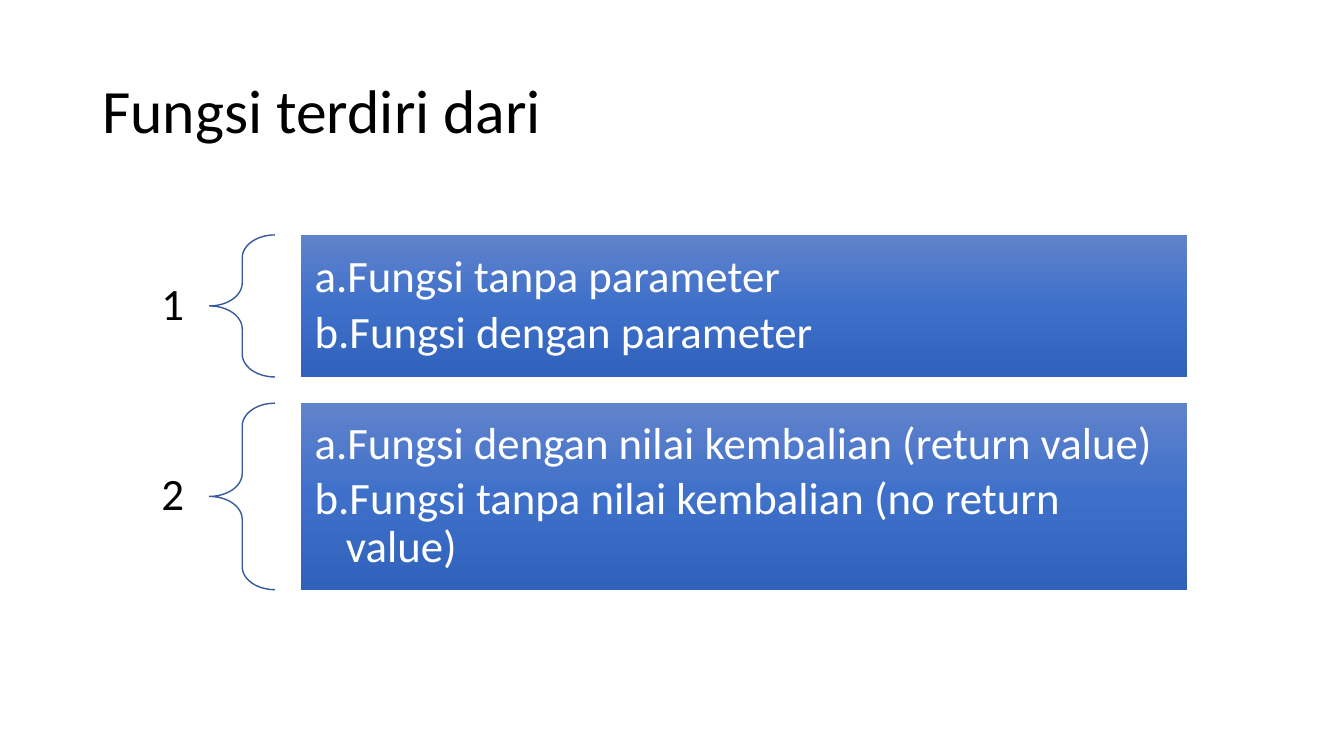
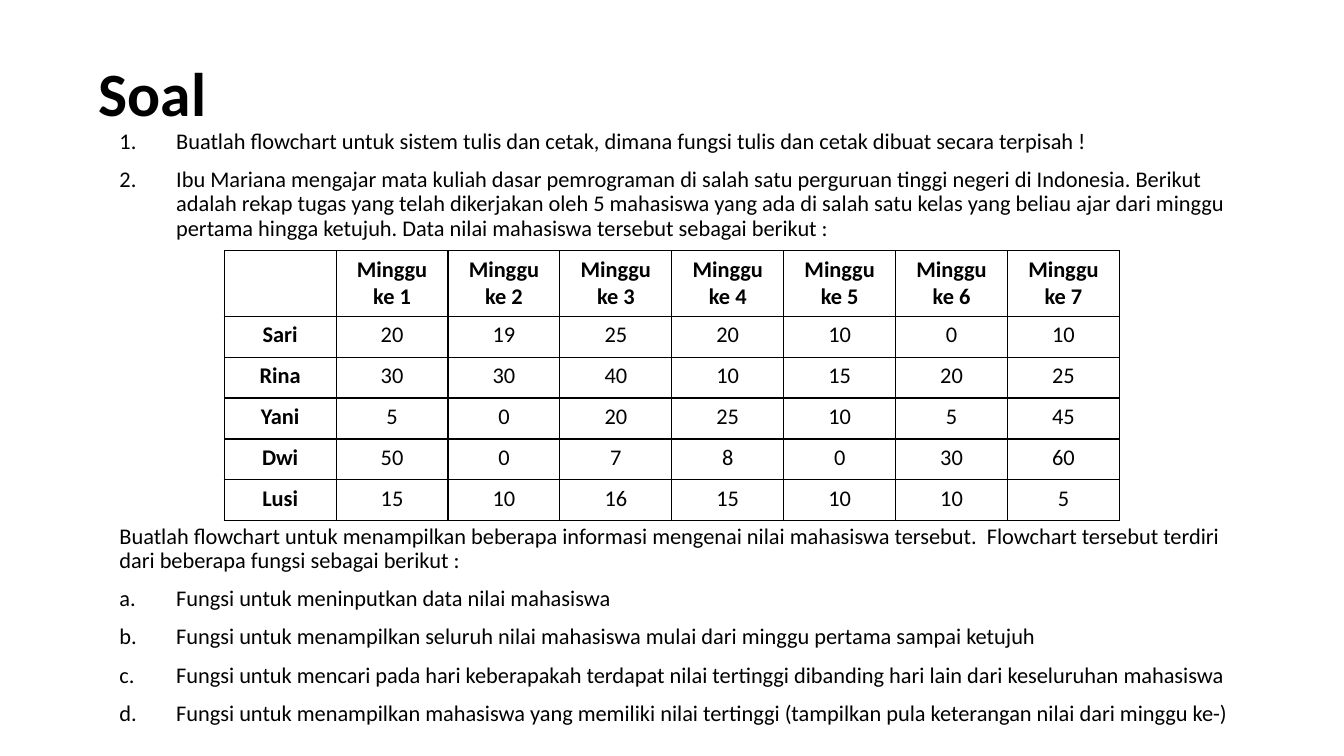
import copy
from dataclasses import dataclass

import pptx
import pptx.dml.color
import pptx.enum.shapes
import pptx.enum.text
import pptx.oxml
import pptx.oxml.ns
import pptx.util

Cm = pptx.util.Cm
Pt = pptx.util.Pt
RGB = pptx.dml.color.RGBColor.from_string
ALIGN = pptx.enum.text.PP_ALIGN
ANCHOR = pptx.enum.text.MSO_ANCHOR
SHAPE = pptx.enum.shapes.MSO_SHAPE


@dataclass(frozen=True)
class Theme:
    font: str = "Calibri"
    ink: str = "000000"
    light: str = "FFFFFF"
    brace: str = "365B9D"
    gradient: tuple = ((0, "6183CB"), (0.5, "3E70CA"), (1, "3062BB"))
    title_pt: int = 44
    group_pt: int = 32
    body_pt: int = 16
    line_pt: int = 1


T = Theme()

KINDS_TITLE = "Fungsi terdiri dari"
KINDS = [
    ("1", 3.58, ["Fungsi tanpa parameter", "Fungsi dengan parameter"]),
    ("2", 4.7, ["Fungsi dengan nilai kembalian (return value)",
                "Fungsi tanpa nilai kembalian (no return value)"]),
]
KINDS_TOP, KINDS_GAP = 5.92, 0.66
LABEL_X, LABEL_W = 2.28, 3.0
BRACE_X, BRACE_W = 5.28, 1.65
BOX_X, BOX_W = 7.59, 22.33

TASK_TITLE = "Soal"
TASKS = [
    "Buatlah flowchart untuk sistem tulis dan cetak, dimana fungsi tulis dan cetak dibuat secara terpisah !",
    "Ibu Mariana mengajar mata kuliah dasar pemrograman di salah satu perguruan tinggi negeri di Indonesia. "
    "Berikut adalah rekap tugas yang telah dikerjakan oleh 5 mahasiswa yang ada di salah satu kelas yang beliau "
    "ajar dari minggu pertama hingga ketujuh. Data nilai mahasiswa tersebut sebagai berikut :",
]
TASK_INTRO = ("Buatlah flowchart untuk menampilkan beberapa informasi mengenai nilai mahasiswa tersebut.  "
              "Flowchart tersebut terdiri dari beberapa fungsi sebagai berikut :")
FUNCTIONS = [
    "Fungsi untuk meninputkan data nilai mahasiswa",
    "Fungsi untuk menampilkan seluruh nilai mahasiswa mulai dari minggu pertama sampai ketujuh",
    "Fungsi untuk mencari pada hari keberapakah terdapat nilai tertinggi dibanding hari lain dari keseluruhan mahasiswa",
    "Fungsi untuk menampilkan mahasiswa yang memiliki nilai tertinggi (tampilkan pula keterangan nilai dari minggu ke-)",
]
SCORES = {
    "Sari": [20, 19, 25, 20, 10, 0, 10],
    "Rina": [30, 30, 40, 10, 15, 20, 25],
    "Yani": [5, 0, 20, 25, 10, 5, 45],
    "Dwi": [50, 0, 7, 8, 0, 30, 60],
    "Lusi": [15, 10, 16, 15, 10, 10, 5],
}
TABLE_X, TABLE_Y, COL_W = 5.65, 6.32, 2.82
HEADER_H, ROW_H = 1.65, 1.03
TABLE_SPACE_PT = 203


def assign(obj, values):
    for name, value in values.items():
        setattr(obj, name, value)


def box(x, y, w, h):
    return [Cm(v) for v in (x, y, w, h)]


def place(sp, bounds):
    assign(sp, dict(zip(("left", "top", "width", "height"), bounds)))


def frame(tf, inset=(0.25, 0.13), anchor=ANCHOR.MIDDLE):
    across, down = (Cm(v) for v in inset)
    assign(tf, dict(word_wrap=True, auto_size=pptx.enum.text.MSO_AUTO_SIZE.NONE,
                    vertical_anchor=anchor, margin_left=across, margin_right=across,
                    margin_top=down, margin_bottom=down))


def write(p, text, size, color=T.ink, bold=False, align=ALIGN.LEFT, spacing=0.9, before=0, after=0):
    assign(p, dict(alignment=align, line_spacing=spacing, space_before=Pt(before), space_after=Pt(after)))
    r = p.add_run()
    r.text = text
    assign(r.font, dict(name=T.font, size=Pt(size), bold=bold))
    r.font.color.rgb = RGB(color)


def bullet(p, scheme, left, hanging):
    pPr = p._p.get_or_add_pPr()
    pPr.set("marL", str(Cm(left)))
    pPr.set("indent", str(-Cm(hanging)))
    ns = pptx.oxml.ns.nsdecls("a")
    xml = f'<a:buAutoNum {ns} type="{scheme}"/>' if scheme else f"<a:buNone {ns}/>"
    pPr.append(pptx.oxml.parse_xml(xml))


def paragraphs(tf, count):
    return [tf.paragraphs[0]] + [tf.add_paragraph() for _ in range(count - 1)]


def add_slide(prs, layout, title, bounds, bold=False):
    s = prs.slides.add_slide(prs.slide_layouts[layout])
    sp = s.shapes.title
    place(sp, bounds)
    frame(sp.text_frame)
    write(sp.text_frame.paragraphs[0], title, T.title_pt, bold=bold)
    return s


def fill_gradient(sp):
    sp.fill.gradient()
    sp.fill.gradient_angle = 270
    stops = sp._element.spPr.find(".//" + pptx.oxml.ns.qn("a:gsLst"))
    stops.append(copy.deepcopy(stops[0]))
    for stop, (position, color) in zip(sp.fill.gradient_stops, T.gradient):
        stop.position = position
        stop.color.rgb = RGB(color)


def add_kind(s, y, number, height, items):
    label = s.shapes.add_textbox(*box(LABEL_X, y, LABEL_W, height))
    frame(label.text_frame, (0.64, 0.23))
    write(label.text_frame.paragraphs[0], number, T.group_pt, align=ALIGN.RIGHT)

    brace = s.shapes.add_shape(SHAPE.LEFT_BRACE, *box(BRACE_X, y, BRACE_W, height))
    brace.shadow.inherit = False
    brace.adjustments[0] = 0.35
    brace.fill.background()
    brace.line.color.rgb = RGB(T.brace)
    brace.line.width = Pt(T.line_pt)

    panel = s.shapes.add_shape(SHAPE.RECTANGLE, *box(BOX_X, y, BOX_W, height))
    panel.shadow.inherit = False
    fill_gradient(panel)
    panel.line.fill.background()
    frame(panel.text_frame, (0.34, 0.34))
    for p, item in zip(paragraphs(panel.text_frame, len(items)), items):
        write(p, item, T.group_pt, T.light, after=4.8)
        bullet(p, "alphaLcPeriod", 0.79, 0.79)


def add_borders(cell):
    tcPr = cell._tc.get_or_add_tcPr()
    for i, side in enumerate("LRTB"):
        tcPr.insert(i, pptx.oxml.parse_xml(
            f'<a:ln{side} {pptx.oxml.ns.nsdecls("a")} w="{Pt(T.line_pt)}"><a:solidFill>'
            f'<a:srgbClr val="{T.ink}"/></a:solidFill></a:ln{side}>'))


def add_scores(s):
    weeks = len(next(iter(SCORES.values())))
    rows = [[""] + [f"Minggu ke {n}" for n in range(1, weeks + 1)]]
    rows += [[name, *scores] for name, scores in SCORES.items()]
    heights = [HEADER_H] + [ROW_H] * len(SCORES)
    cols = weeks + 1
    table = s.shapes.add_table(len(rows), cols, *box(TABLE_X, TABLE_Y, COL_W * cols, sum(heights))).table
    assign(table, dict(first_row=False, horz_banding=False))
    for col in table.columns:
        col.width = Cm(COL_W)
    for i, (values, height) in enumerate(zip(rows, heights)):
        table.rows[i].height = Cm(height)
        for j, value in enumerate(values):
            cell = table.cell(i, j)
            cell.fill.background()
            add_borders(cell)
            if value != "":
                write(cell.text_frame.paragraphs[0], str(value), T.body_pt,
                      bold=i == 0 or j == 0, align=ALIGN.CENTER, spacing=1.0)


def build_kinds(prs):
    s = add_slide(prs, 5, KINDS_TITLE, box(2.33, 1.01, 29.21, 3.68))
    y = KINDS_TOP
    for number, height, items in KINDS:
        add_kind(s, y, number, height, items)
        y += height + KINDS_GAP


def build_task(prs):
    s = add_slide(prs, 1, TASK_TITLE, box(2.24, 0.94, 30.48, 2.97), bold=True)
    body = s.placeholders[1]
    place(body, box(2.44, 3.15, 29.21, 13.11))
    frame(body.text_frame, anchor=ANCHOR.TOP)
    lines = [(text, "arabicPeriod", 10) for text in TASKS]
    lines += [(TASK_INTRO, None, TABLE_SPACE_PT)]
    lines += [(text, "alphaLcPeriod", 10) for text in FUNCTIONS]
    for p, (text, scheme, before) in zip(paragraphs(body.text_frame, len(lines)), lines):
        write(p, text, T.body_pt, before=before)
        bullet(p, scheme, *((1.75, 1.43) if scheme else (0.32, 0)))
    add_scores(s)


def main():
    prs = pptx.Presentation()
    assign(prs, dict(slide_width=Cm(33.87), slide_height=Cm(19.05)))
    build_kinds(prs)
    build_task(prs)
    prs.save("out.pptx")


if __name__ == "__main__":
    main()
